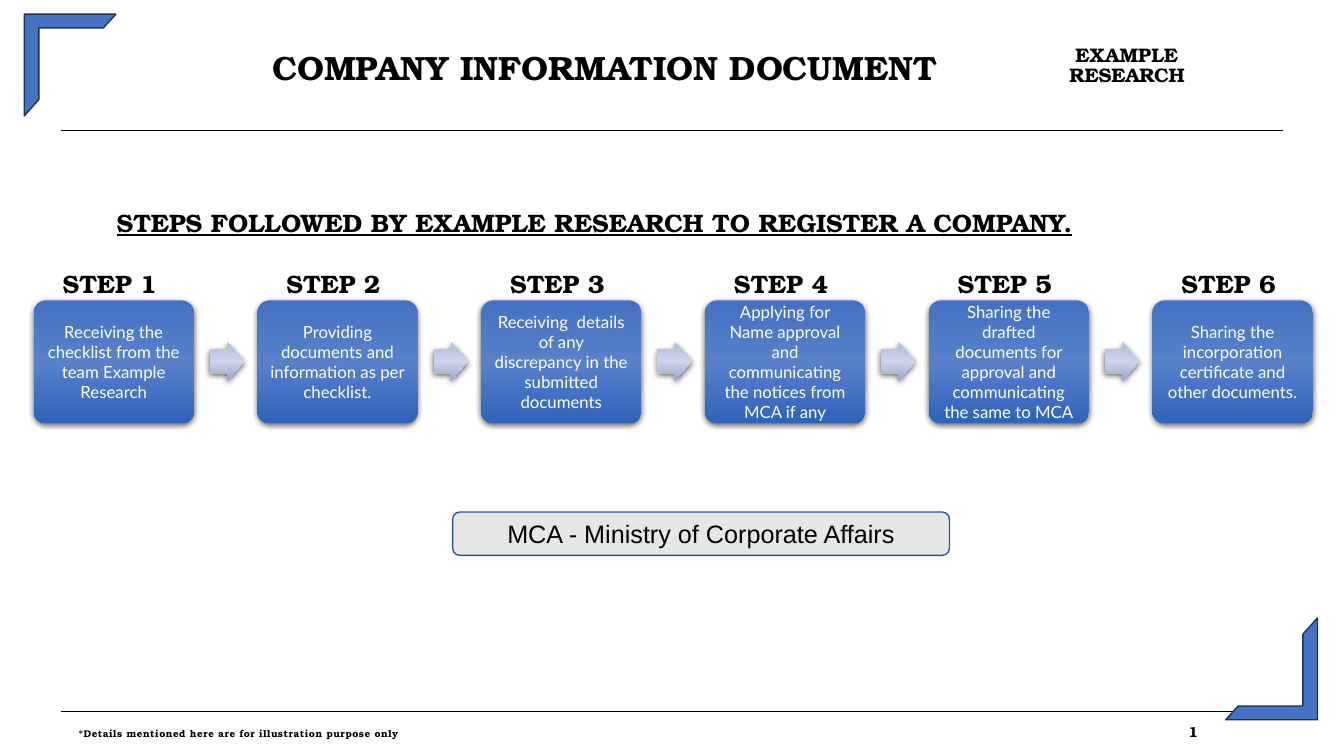
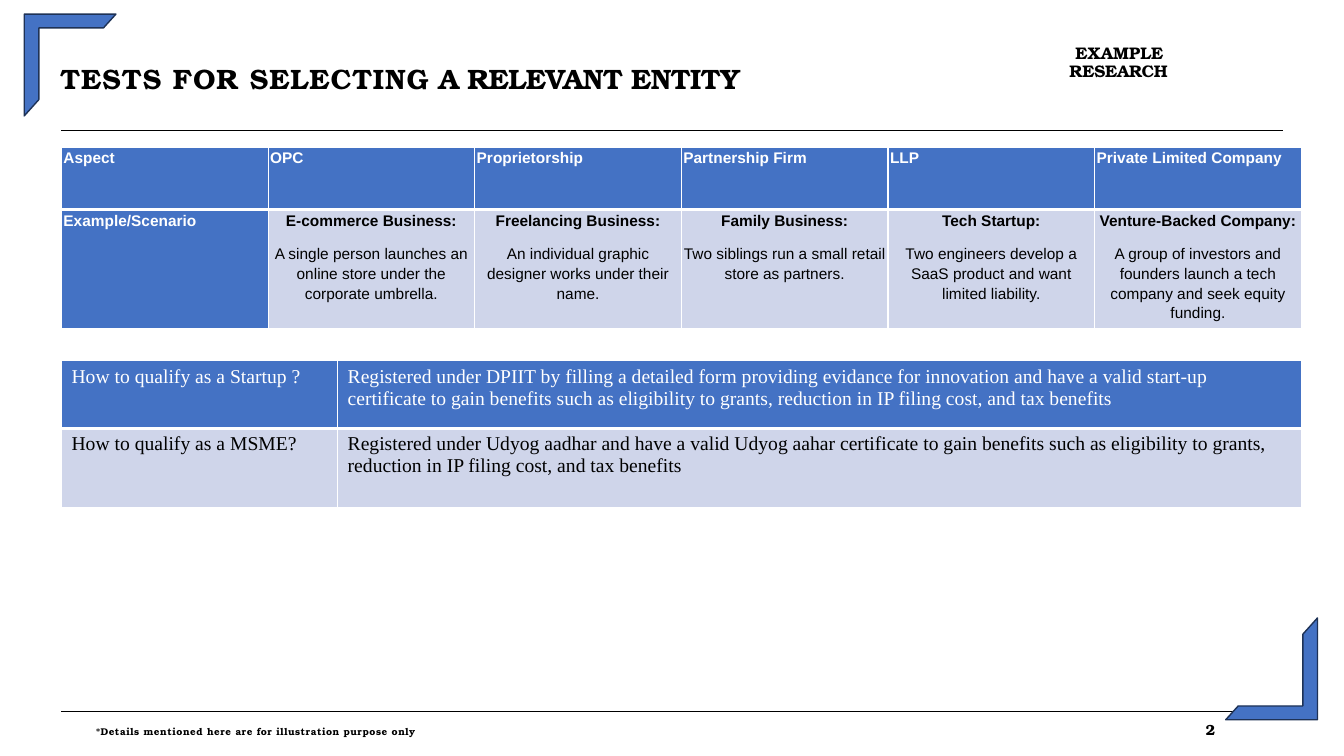
from lxml import etree
from pptx import Presentation
from pptx import util as u
from pptx.dml import color
from pptx.enum import shapes, text
from pptx.oxml import ns

COLORS = {
    "ink": "000000", "paper": "FFFFFF", "blue": "4472C4", "navy": "1E3256",
    "pale": "CFD5EA", "gray": "E7E6E6", "outline": "2F5597",
}
GRADIENTS = {
    "step": ["4471C2", "5881CA", "3062BB"],
    "arrow": ["B1BBDB", "CDD4EA", "98A4CB"],
}
SERIF, SANS, STEP_FONT, TIMES = "TeX Gyre Bonum", "Arial", "Lato", "Times New Roman"
CELL = u.Inches(1 / 3)
COLUMNS, ROWS = 40, 22.5
LEFT, CENTER = text.PP_ALIGN.LEFT, text.PP_ALIGN.CENTER
TOP, MIDDLE = text.MSO_ANCHOR.TOP, text.MSO_ANCHOR.MIDDLE
KIND = shapes.MSO_SHAPE


def rgb(name):
    return color.RGBColor.from_string(COLORS[name])


def grid(*cells):
    return [u.Emu(round(cell * CELL)) for cell in cells]


class Deck:
    def __init__(self):
        self.presentation = Presentation()
        self.presentation.slide_width, self.presentation.slide_height = grid(COLUMNS, ROWS)
        self.slide = None

    def add_slide(self, brand_size, footer_left, footer_top):
        layout = self.presentation.slide_layouts[5]
        self.slide = self.presentation.slides.add_slide(layout)
        for row in (3.87, 21.18):
            self.rule(1.83, 38.19, row)
        self.corner(0.72, 0.42, 0)
        self.corner(36.48, 18.39, 180)
        self.brand(brand_size)
        self.footer(footer_left, footer_top)

    def write_runs(self, paragraph, runs, size, font=SERIF, ink="ink", bold=True,
                   underline=False, align=LEFT, line=None, after=None):
        paragraph.alignment = align
        if line:
            paragraph.line_spacing = line
        if after:
            paragraph.space_after = u.Pt(after)
        for words, changes in runs:
            run = paragraph.add_run()
            run.text = words
            run.font.name = font
            run.font.size = u.Pt(changes.get("size", size))
            run.font.bold = changes.get("bold", bold)
            if underline:
                run.font.underline = True
            run.font.color.rgb = rgb(ink)
            if "spacing" in changes:
                run.font._element.set("spc", str(round(changes["spacing"] * 100)))

    def set_frame(self, frame, inset, anchor):
        frame.word_wrap = True
        frame.auto_size = text.MSO_AUTO_SIZE.NONE
        frame.vertical_anchor = anchor
        frame.margin_left = frame.margin_right = u.Inches(inset)
        frame.margin_top = frame.margin_bottom = u.Inches(inset / 2)

    def title(self, box, runs, size, align=LEFT):
        shape = self.slide.shapes.title
        shape.left, shape.top, shape.width, shape.height = grid(*box)
        self.set_frame(shape.text_frame, 0, TOP)
        self.write_runs(shape.text_frame.paragraphs[0], runs, size, align=align, line=0.82)

    def textbox(self, box, runs, size, inset=0.1, **style):
        shape = self.slide.shapes.add_textbox(*grid(*box))
        self.set_frame(shape.text_frame, inset, TOP)
        paragraph = shape.text_frame.paragraphs[0]
        self.write_runs(paragraph, runs, size, **style)
        return paragraph

    def brand(self, size):
        runs = [("EXAMPLE", {"spacing": 0.1}), (" RESEARCH", {"spacing": -0.1})]
        paragraph = self.textbox((31.8, 1.36, 3.6, 1.3), runs, size, inset=0, line=0.87)
        properties = paragraph._p.get_or_add_pPr()
        properties.set("marL", str(u.Inches(0.01)))
        properties.set("indent", str(u.Inches(0.06)))

    def footer(self, left, top):
        number = str(len(self.presentation.slides))
        note = "*Details mentioned here are for illustration purpose only"
        runs = [(note, {"spacing": 0.4}), ("\t" + number, {"size": 10.5, "spacing": 0.4})]
        paragraph = self.textbox((left, top, 35.76, 0.66), runs, 7, inset=0, line=0.84)
        tabs = etree.SubElement(paragraph._p.get_or_add_pPr(), ns.qn("a:tabLst"))
        etree.SubElement(tabs, ns.qn("a:tab"), pos=str(u.Inches(11.01)), algn="l")

    def rule(self, start, end, row):
        connector = self.slide.shapes.add_connector(
            shapes.MSO_CONNECTOR.STRAIGHT, *grid(start, row, end, row))
        connector.line.color.rgb = rgb("ink")
        connector.line.width = u.Pt(0.5)
        etree.SubElement(connector.element.spPr, ns.qn("a:effectLst"))

    def shape(self, kind, box, fill=None, line=None, adjustments=()):
        shape = self.slide.shapes.add_shape(kind, *grid(*box))
        shape.shadow.inherit = False
        for index, value in enumerate(adjustments):
            shape.adjustments[index] = value
        if fill:
            shape.fill.solid()
            shape.fill.fore_color.rgb = rgb(fill)
        if line:
            shape.line.color.rgb = rgb(line)
            shape.line.width = u.Pt(1)
        else:
            shape.line.fill.background()
        return shape

    def corner(self, left, top, rotation):
        shape = self.shape(KIND.HALF_FRAME, (left, top, 2.73, 3.03), "blue", "navy", (0.15, 0.16))
        shape.rotation = rotation

    def raised(self, kind, box, gradient, adjustments):
        shape = self.shape(kind, box, adjustments=adjustments)
        shape.fill.gradient()
        shape.fill.gradient_angle = 270
        properties = shape.element.spPr
        stops = properties.find(".//" + ns.qn("a:gsLst"))
        for stop in list(stops):
            stops.remove(stop)
        for index, value in enumerate(GRADIENTS[gradient]):
            stop = etree.SubElement(stops, ns.qn("a:gs"), pos=str(index * 50000))
            etree.SubElement(stop, ns.qn("a:srgbClr"), val=value)
        shadow = etree.SubElement(
            properties.find(ns.qn("a:effectLst")), ns.qn("a:outerShdw"),
            blurRad=str(u.Pt(4.5)), dist=str(u.Pt(1.5)), dir="5400000", rotWithShape="0")
        tint = etree.SubElement(shadow, ns.qn("a:srgbClr"), val=COLORS["ink"])
        etree.SubElement(tint, ns.qn("a:alpha"), val="63000")
        return shape

    def label(self, shape, words, size, inset, **style):
        self.set_frame(shape.text_frame, inset, MIDDLE)
        self.write_runs(shape.text_frame.paragraphs[0], [(words, {})], size,
                        bold=False, align=CENTER, **style)

    def step(self, index, words, last):
        left = 1 + 6.66 * index
        box = self.raised(KIND.ROUNDED_RECTANGLE, (left, 8.94, 4.77, 3.66), "step", (0.1,))
        self.label(box, words, 12, 0.09, font=STEP_FONT, ink="paper")
        self.textbox((left + 0.57, 7.84, 3.9, 1.2), [(f"STEP {index + 1}", {})], 18)
        if not last:
            self.raised(KIND.RIGHT_ARROW, (left + 5.25, 10.17, 1.02, 1.17), "arrow", (0.6, 0.5))

    def table(self, top, widths, heights, rows, inset=None, **style):
        box = grid(1.83, top, sum(widths), sum(heights))
        table = self.slide.shapes.add_table(len(rows), len(widths), *box).table
        table.first_row = table.horz_banding = False
        for column, width in zip(table.columns, grid(*widths)):
            column.width = width
        for row, height in zip(table.rows, grid(*heights)):
            row.height = height
        for row_index, row in enumerate(rows):
            for column_index, (fill, align, paragraphs) in enumerate(row):
                cell = table.cell(row_index, column_index)
                self.borders(cell, 3 if row_index else 1, 1 if row_index else 3)
                cell.fill.solid()
                cell.fill.fore_color.rgb = rgb(fill)
                if inset is not None:
                    cell.margin_left = cell.margin_right = u.Inches(inset)
                    cell.margin_top = cell.margin_bottom = 0
                frame = cell.text_frame
                for index, (words, bold) in enumerate(paragraphs):
                    paragraph = frame.add_paragraph() if index else frame.paragraphs[0]
                    self.write_runs(paragraph, [(words, {})], bold=bold, align=align,
                                    ink="paper" if fill == "blue" else "ink", **style)

    def borders(self, cell, top, bottom):
        properties = cell._tc.get_or_add_tcPr()
        for side, width in (("L", 1), ("R", 1), ("T", top), ("B", bottom)):
            line = etree.SubElement(properties, ns.qn("a:ln" + side), w=str(u.Pt(width)))
            fill = etree.SubElement(line, ns.qn("a:solidFill"))
            etree.SubElement(fill, ns.qn("a:srgbClr"), val=COLORS["paper"])


STEPS = [
    "Receiving the checklist from the team Example Research",
    "Providing documents and information as per checklist.",
    "Receiving  details of any discrepancy in the submitted documents",
    "Applying for Name approval and communicating the notices from MCA if any",
    "Sharing the drafted documents for approval and communicating the same to MCA",
    "Sharing the incorporation certificate and other documents.",
]
ENTITIES = [
    ("OPC", "E-commerce Business:",
     "A single person launches an online store under the corporate umbrella."),
    ("Proprietorship", "Freelancing Business:",
     "An individual graphic designer works under their name."),
    ("Partnership Firm", "Family Business:",
     "Two siblings run a small retail store as partners."),
    ("LLP", "Tech Startup:",
     "Two engineers develop a SaaS product and want limited liability."),
    ("Private Limited Company", "Venture-Backed Company:",
     "A group of investors and founders launch a tech company and seek equity funding."),
]
QUALIFYING = [
    ("blue", "How to qualify as a Startup ?",
     "Registered under DPIIT by filling a detailed form providing evidance for innovation "
     "and have a valid start-up certificate to gain benefits such as eligibility to grants, "
     "reduction in IP filing cost, and tax benefits"),
    ("pale", "How to qualify as a MSME?",
     "Registered under Udyog aadhar and have a valid Udyog aahar certificate to gain benefits "
     "such as eligibility to grants, reduction in IP filing cost, and tax benefits"),
]


def steps_slide(deck):
    deck.add_slide(14, 2.34, 21.6)
    deck.title((4.5, 1.62, 27, 1.05), [("COMPANY INFORMATION DOCUMENT", {})], 24, CENTER)
    heading = "STEPS FOLLOWED BY EXAMPLE RESEARCH TO REGISTER A COMPANY."
    deck.textbox((3.18, 6.03, 33.6, 1.2), [(heading, {})], 18, underline=True)
    for index, words in enumerate(STEPS):
        deck.step(index, words, index == len(STEPS) - 1)
    ministry = deck.shape(KIND.ROUNDED_RECTANGLE, (13.47, 15.24, 14.79, 1.29), "gray", "outline")
    deck.label(ministry, "MCA - Ministry of Corporate Affairs", 18, 0.1, font=SANS)


def entity_slide(deck):
    deck.add_slide(12, 2.85, 21.54)
    deck.title((1.8, 2.01, 27, 1.05), [("TESTS FOR SELECTING", {"spacing": 0.7}),
                                       (" A RELEVANT ENTITY", {"spacing": -0.4})], 20)
    header = [("blue", LEFT, [(name, True)])
              for name in ["Aspect"] + [entity[0] for entity in ENTITIES]]
    scenarios = [("blue", LEFT, [("Example/Scenario", True)])]
    scenarios += [("pale", CENTER, [(kind, True), (story, False)]) for _, kind, story in ENTITIES]
    deck.table(4.38, [6.15] * 6, [1.86, 3.54], [header, scenarios], inset=0.02,
               size=11, font=SANS, line=1.15, after=10)
    answers = [[(fill, LEFT, [(words, False)]) for words in pair] for fill, *pair in QUALIFYING]
    deck.table(10.74, [8.22, 28.68], [2.01, 2.37], answers, size=14, font=TIMES)


def main():
    deck = Deck()
    steps_slide(deck)
    entity_slide(deck)
    deck.presentation.save("out.pptx")


if __name__ == "__main__":
    main()
